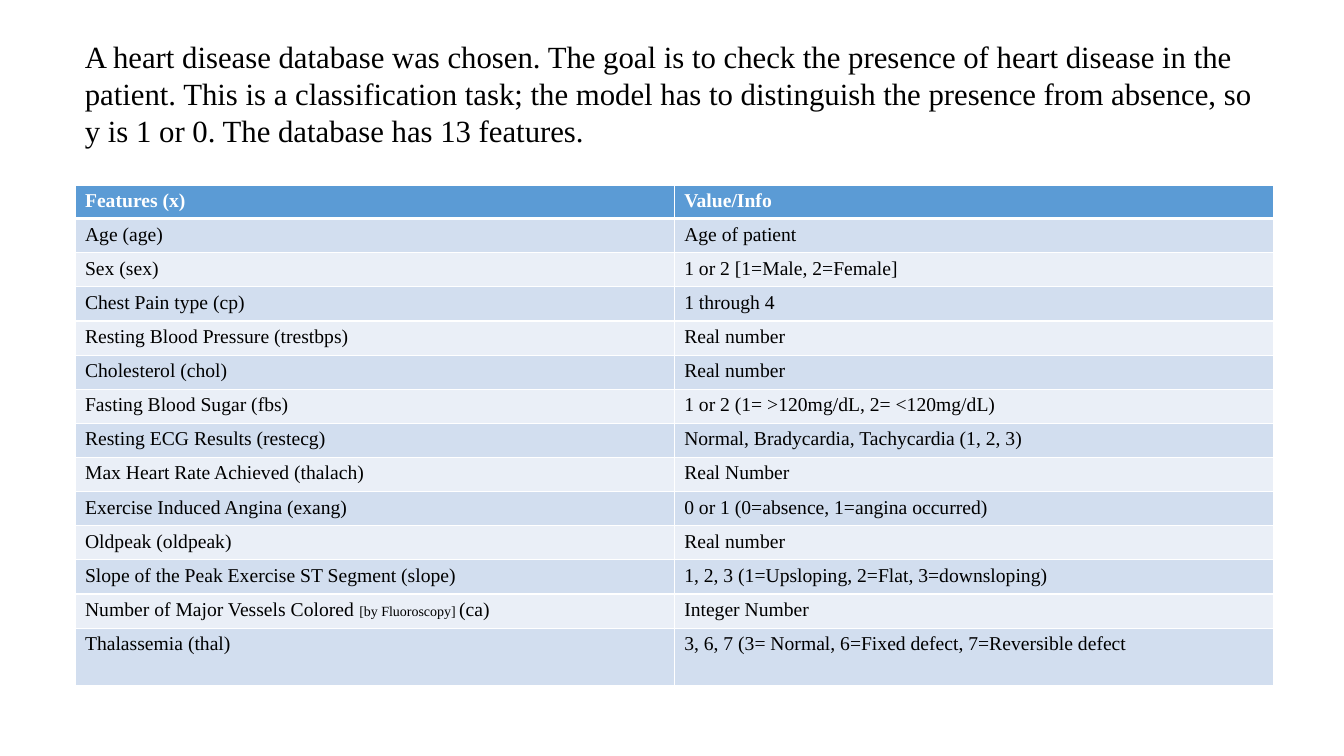
from lxml.etree import SubElement
from pptx import Presentation
from pptx.dml.color import RGBColor
from pptx.oxml.ns import qn
from pptx.util import Cm, Pt


def color(value):
    return RGBColor.from_string(value)


def add_border(cell, side, points):
    line = SubElement(cell._tc.get_or_add_tcPr(), qn(f"a:{side}"), w=str(Pt(points)))
    fill = SubElement(line, qn("a:solidFill"))
    SubElement(fill, qn("a:srgbClr"), val="FFFFFF")


FONT = "Times New Roman"
INTRO = (
    "A heart disease database was chosen. The goal is to check the presence of heart "
    "disease in the patient. This is a classification task; the model has to distinguish "
    "the presence from absence, so y is 1 or 0. The database has 13 features."
)
SMALL_NOTE = "[by Fluoroscopy] "
FEATURES = [
    (["Features (x)"], "Value/Info"),
    (["Age (age)"], "Age of patient"),
    (["Sex (sex)"], "1 or 2 [1=Male, 2=Female]"),
    (["Chest Pain type (cp)"], "1 through 4"),
    (["Resting Blood Pressure (trestbps)"], "Real number"),
    (["Cholesterol (chol)"], "Real number"),
    (["Fasting Blood Sugar (fbs)"], "1 or 2 (1= >120mg/dL, 2= <120mg/dL)"),
    (["Resting ECG Results (restecg)"], "Normal, Bradycardia, Tachycardia (1, 2, 3)"),
    (["Max Heart Rate Achieved (thalach)"], "Real Number"),
    (["Exercise Induced Angina (exang)"], "0 or 1 (0=absence, 1=angina occurred)"),
    (["Oldpeak (oldpeak)"], "Real number"),
    (["Slope of the Peak Exercise ST Segment (slope)"],
     "1, 2, 3 (1=Upsloping, 2=Flat, 3=downsloping)"),
    (["Number of Major Vessels Colored ", SMALL_NOTE, "(ca)"], "Integer Number"),
    (["Thalassemia (thal)"], "3, 6, 7 (3= Normal, 6=Fixed defect, 7=Reversible defect"),
]

deck = Presentation()
deck.slide_width = Cm(33.87)
deck.slide_height = Cm(19.05)
page = deck.slides.add_slide(deck.slide_layouts[6])

box = page.shapes.add_textbox(Cm(1.89), Cm(0.82), Cm(30.2), Cm(3.07))
box.text_frame.word_wrap = True
box.text_frame.text = INTRO
span = box.text_frame.paragraphs[0].runs[0]
span.font.name = FONT
span.font.size = Pt(22)
span.font.color.rgb = color("000000")

table = page.shapes.add_table(
    len(FEATURES), 2, Cm(1.89), Cm(4.66), Cm(30.2), Cm(12.57)
).table
for column in table.columns:
    column.width = Cm(15.1)
for row in table.rows:
    row.height = Cm(0.86)
table.rows[0].height = Cm(0.83)
table.rows[len(FEATURES) - 1].height = Cm(1.44)

for row_index, (feature, info) in enumerate(FEATURES):
    is_header = row_index == 0
    band = "5B9BD5" if is_header else ("EAEFF7", "D2DEEF")[row_index % 2]
    for column_index, parts in enumerate((feature, [info])):
        cell = table.cell(row_index, column_index)
        add_border(cell, "lnL", 1)
        add_border(cell, "lnR", 1)
        add_border(cell, "lnT", 3 if row_index == 1 else 1)
        add_border(cell, "lnB", 3 if is_header else 1)
        cell.fill.solid()
        cell.fill.fore_color.rgb = color(band)
        para = cell.text_frame.paragraphs[0]
        for part in parts:
            span = para.add_run()
            span.text = part
            span.font.name = FONT
            span.font.size = Pt(10 if part == SMALL_NOTE else 14)
            span.font.bold = is_header
            span.font.color.rgb = color("FFFFFF" if is_header else "000000")

deck.save("out.pptx")
